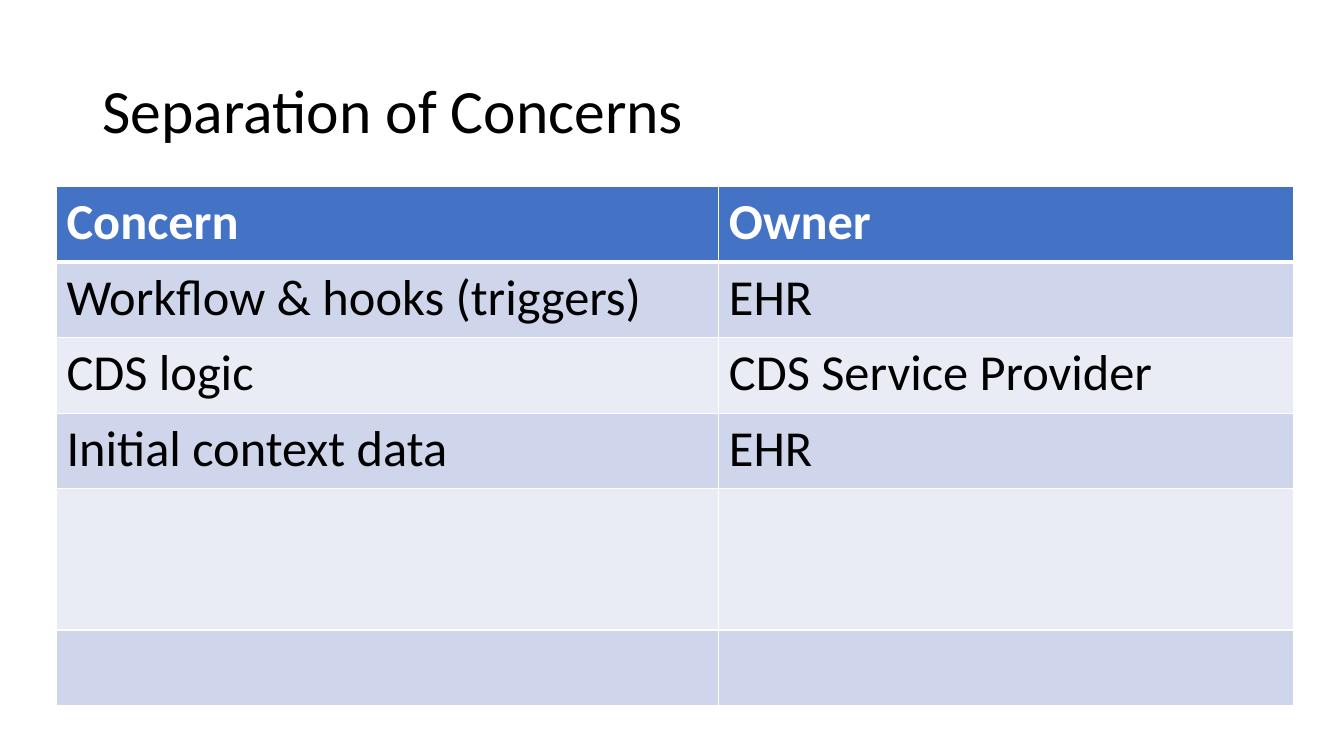
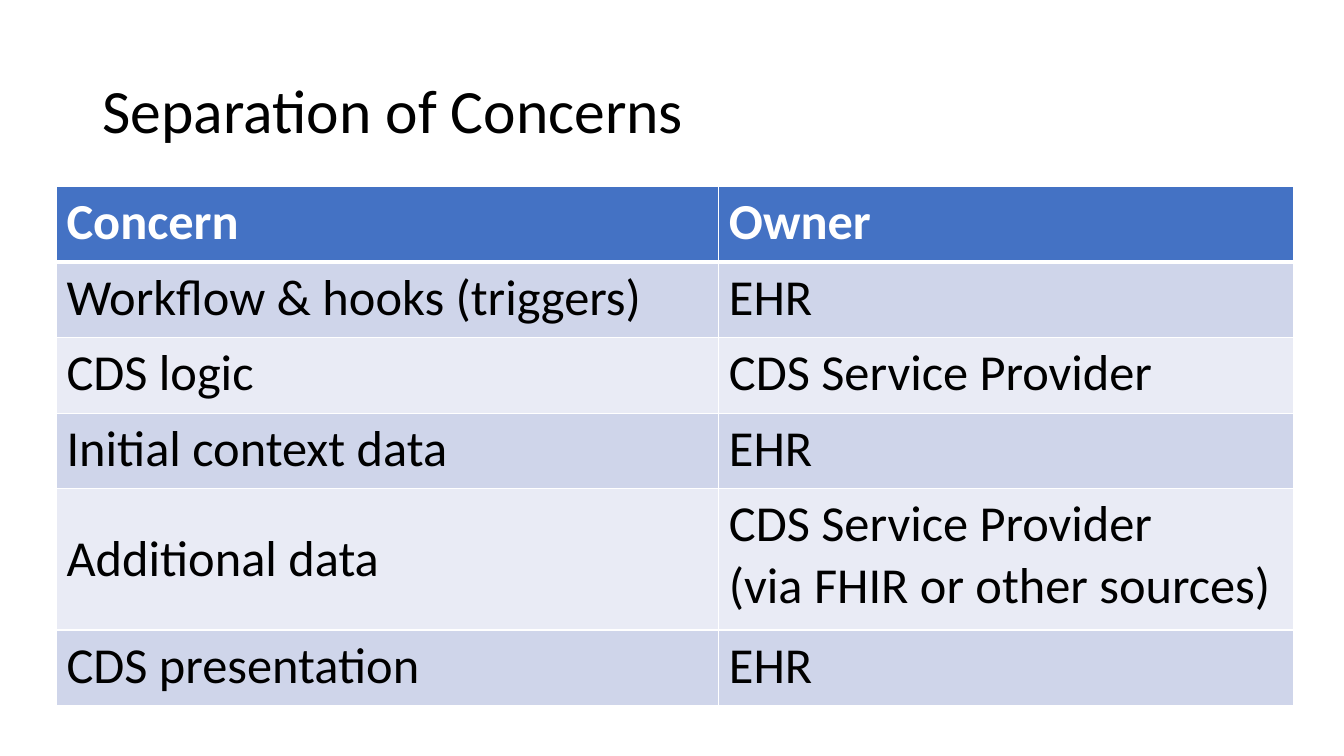
from lxml import etree
from pptx import Presentation
from pptx.dml.color import RGBColor
from pptx.enum.text import MSO_ANCHOR as Anchor
from pptx.oxml.ns import qn
from pptx.util import Inches, Pt

COLORS = {
    "title": "000000", "body": "000000", "header_text": "FFFFFF",
    "header": "4472C4", "band_dark": "CFD5EA", "band_light": "E9EBF5",
    "rule": "FFFFFF",
}
FONT = "Calibri"
TITLE_SIZE, TABLE_SIZE = 44, 36
THIN, THICK = 1, 3

# Regions: left, top, width, height in inches
SLIDE_SIZE = (13.33, 7.5)
TITLE_BOX = (0.92, 0.4, 11.5, 1.45)
TABLE_BOX = (0.56, 1.85, 12.27, 5.15)

# Shares of the table box
COLUMN_SHARES = (6.57, 5.7)
ROW_SHARES = (15, 15, 15, 15, 28, 15)

TITLE = "Separation of Concerns"
RESPONSIBILITIES = [
    ("Concern", "Owner"),
    ("Workflow & hooks (triggers)", "EHR"),
    ("CDS logic", "CDS Service Provider"),
    ("Initial context data", "EHR"),
    ("Additional data", "CDS Service Provider\n(via FHIR or other sources)"),
    ("CDS presentation", "EHR"),
]
TALL_ROW = 4
# Number of rows with text on each slide
REVEAL_STEPS = (4, 6)


def rgb(name):
    return RGBColor.from_string(COLORS[name])


def write(paragraph, text, size, color, bold=False):
    paragraph.text = text
    for run in paragraph.runs:
        font = run.font
        font.name, font.size, font.bold = FONT, Pt(size), bold
        font.color.rgb = rgb(color)


def add_title(slide, box):
    frame = slide.shapes.add_textbox(*map(Inches, box)).text_frame
    frame.word_wrap = True
    frame.vertical_anchor = Anchor.MIDDLE
    heading = frame.paragraphs[0]
    heading.line_spacing = 0.9
    write(heading, TITLE, TITLE_SIZE, "title")


def rule_cell(cell, top, bottom):
    """Draw the four borders; call before filling the cell."""
    properties = cell._tc.get_or_add_tcPr()
    for side, width in zip("LRTB", (THIN, THIN, top, bottom)):
        line = etree.SubElement(properties, qn(f"a:ln{side}"), w=str(Pt(width)))
        fill = etree.SubElement(line, qn("a:solidFill"))
        etree.SubElement(fill, qn("a:srgbClr"), val=COLORS["rule"])


def style_cell(cell, row):
    rule_cell(cell, THICK if row == 1 else THIN, THICK if row == 0 else THIN)
    band = "header" if row == 0 else "band_dark" if row % 2 else "band_light"
    cell.fill.solid()
    cell.fill.fore_color.rgb = rgb(band)


def split(total, shares):
    return [Inches(total * share / sum(shares)) for share in shares]


def add_responsibilities(slide, box, revealed):
    table = slide.shapes.add_table(
        len(ROW_SHARES), len(COLUMN_SHARES), *map(Inches, box)).table
    for column, width in zip(table.columns, split(box[2], COLUMN_SHARES)):
        column.width = width
    for line, height in zip(table.rows, split(box[3], ROW_SHARES)):
        line.height = height

    for row, entries in enumerate(RESPONSIBILITIES):
        is_header = row == 0
        for column, entry in enumerate(entries):
            cell = table.cell(row, column)
            style_cell(cell, row)
            if row < revealed:
                write(cell.text_frame.paragraphs[0], entry, TABLE_SIZE,
                      "header_text" if is_header else "body", is_header)
    # The single-line concern is centred beside its two-line owner
    table.cell(TALL_ROW, 0).vertical_anchor = Anchor.MIDDLE


def main():
    deck = Presentation()
    deck.slide_width, deck.slide_height = map(Inches, SLIDE_SIZE)
    blank = deck.slide_layouts[6]
    for revealed in REVEAL_STEPS:
        slide = deck.slides.add_slide(blank)
        add_title(slide, TITLE_BOX)
        add_responsibilities(slide, TABLE_BOX, revealed)
    deck.save("out.pptx")


if __name__ == "__main__":
    main()
